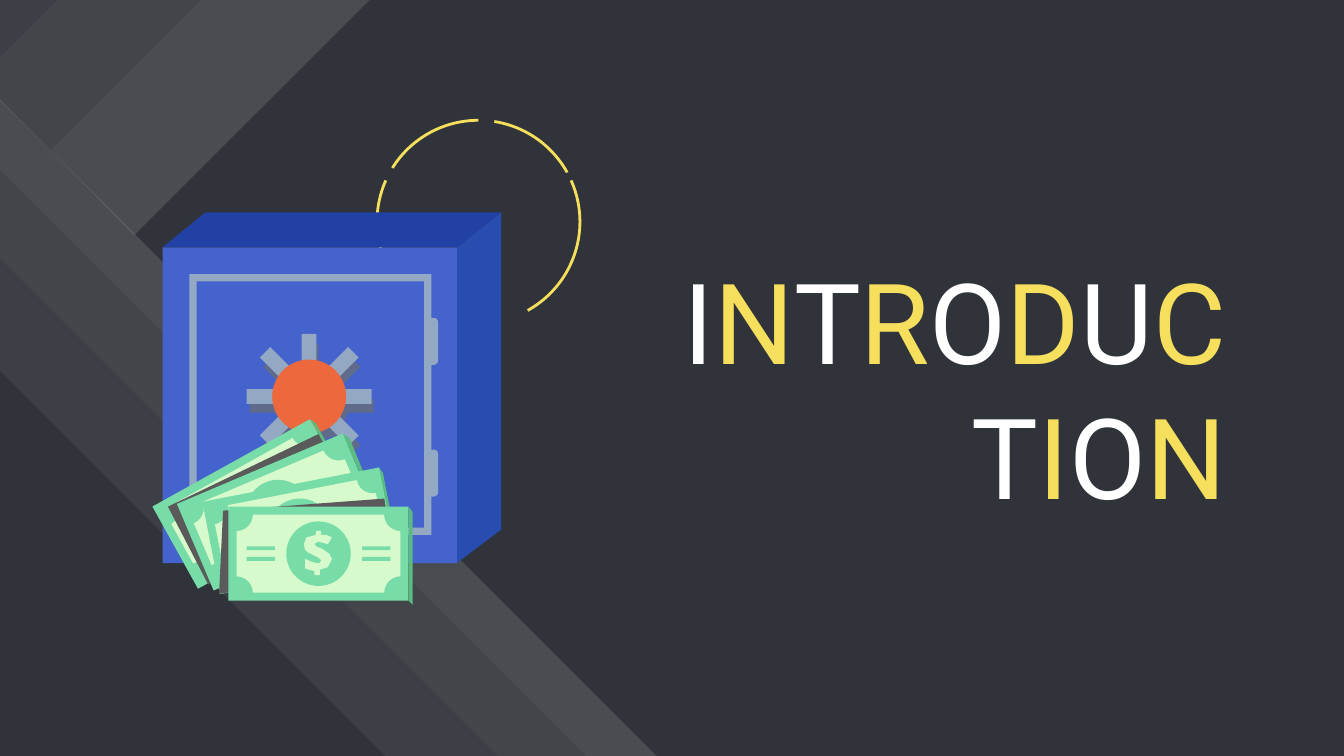
from itertools import cycle, pairwise, product
from math import cos, pi, sin

from lxml import etree
from pptx import Presentation
from pptx import util as u
from pptx.dml import color
from pptx.enum import shapes, text
from pptx.oxml import ns

KIND = shapes.MSO_SHAPE
WHITE, GOLD = "FFFFFF", "F6DF5C"
STEEL, DUSK, ROYAL, ORANGE = "93A8C3", "606B8B", "4563CD", "ED683D"
MINT, PALE, EDGE, SHADE = "78DCA8", "D6FACB", "5ABC80", "5A5A5A"


def tint(code):
    return color.RGBColor.from_string(code)


class Deck:
    """Holds the type style and the current slide."""

    font = {"name": "Roboto", "size": u.Pt(60), "bold": False}
    frame = {"word_wrap": True, "vertical_anchor": text.MSO_ANCHOR.MIDDLE}

    def __init__(self, wide, high, back):
        self.file = Presentation()
        self.file.slide_width, self.file.slide_height = u.Inches(wide), u.Inches(high)
        self.slide = self.file.slides.add_slide(self.file.slide_layouts[6])
        fill = self.slide.background.fill
        fill.solid()
        fill.fore_color.rgb = tint(back)

    def paint(self, shape, code, alpha=None):
        shape.shadow.inherit = False
        shape.line.fill.background()
        shape.fill.solid()
        shape.fill.fore_color.rgb = tint(code)
        if alpha:
            node = shape.fill._xPr.find(".//" + ns.qn("a:srgbClr"))
            etree.SubElement(node, ns.qn("a:alpha"), val=str(alpha * 1000))

    def poly(self, points, code, alpha=None):
        first, *rest = [(u.Inches(x), u.Inches(y)) for x, y in points]
        path = self.slide.shapes.build_freeform(*first)
        path.add_line_segments(rest, close=True)
        self.paint(path.convert_to_shape(), code, alpha)

    def shape(self, kind, mid, size, code, turn=0, bend=None):
        (x, y), (w, h) = mid, size
        item = self.slide.shapes.add_shape(
            kind, u.Inches(x - w / 2), u.Inches(y - h / 2), u.Inches(w), u.Inches(h))
        item.rotation = turn
        if bend is not None:
            item.adjustments[0] = bend
        self.paint(item, code)
        return item

    def arc(self, mid, size, start, end, code):
        item = self.shape(KIND.ARC, mid, (size, size), code)
        item.fill.background()
        item.line.color.rgb = tint(code)
        item.line.width = u.Pt(1.5)
        for spot, angle in enumerate((start, end)):
            item.adjustments[spot] = angle * 0.6

    def title(self, words, box, codes):
        frame = self.slide.shapes.add_textbox(*map(u.Inches, box)).text_frame
        for key, value in self.frame.items():
            setattr(frame, key, value)
        for side in ("left", "top", "right", "bottom"):
            setattr(frame, "margin_" + side, u.Inches(0.1))
        line = frame.paragraphs[0]
        line.alignment = text.PP_ALIGN.RIGHT
        for mark, code in zip(words, cycle(codes)):
            run = line.add_run()
            run.text = mark
            for key, value in self.font.items():
                setattr(run.font, key, value)
            run.font.color.rgb = tint(code)

    def note(self, mid, turn=0, seal=True):
        self.shape(KIND.RECTANGLE, mid, (1.34, 0.7), MINT, turn)
        self.shape(KIND.PLAQUE, mid, (1.22, 0.58), PALE, turn, 0.21)
        if seal:
            self.shape(KIND.OVAL, mid, (0.48, 0.48), MINT)


def gear(mid, half, inner, outer):
    points = []
    for step in range(8):
        c, s = cos(step * pi / 4), sin(step * pi / 4)
        for out, side in ((inner, -half), (outer, -half), (outer, half), (inner, half)):
            points.append((mid[0] + out * c - side * s, mid[1] + out * s + side * c))
    return points


def bands(deck):
    sets = (
        ([(-0.21, 0.53), (-0.47, 0.79), (-0.8, 1.12), (-1.22, 1.54)], 5.16, 5.16),
        ([(1, 1.75), (0.38, 1.12), (-0.16, 0.59), (-0.55, 0.2)], 4.72, -4.72),
    )
    for starts, dx, dy in sets:
        for ((ax, ay), (bx, by)), alpha in zip(pairwise(starts), (12, 9, 6)):
            deck.poly([(ax, ay), (ax + dx, ay + dy), (bx + dx, by + dy), (bx, by)],
                      WHITE, alpha)


def safe(deck):
    left, right, back, top, low = 1.21, 3.4, 3.73, 1.84, 4.19
    deck.poly([(back, 1.58), (right, top), (right, low), (back, 3.94)], "284CAF")
    deck.shape(KIND.RECTANGLE, ((left + right) / 2, (top + low) / 2),
               (right - left, low - top), ROYAL)
    deck.poly([(1.53, 1.58), (left, top), (right, top), (back, 1.58)], "2241A5")
    deck.shape(KIND.FRAME, (2.31, 3.01), (1.8, 1.94), STEEL, bend=0.03)
    for y in (2.54, 3.52):
        deck.shape(KIND.ROUNDED_RECTANGLE, (3.22, y), (0.08, 0.35), STEEL, bend=0.4)
    hub = (2.3, 2.95)
    deck.poly(gear((2.32, 3.02), 0.05, 0.27, 0.46), DUSK)
    for turn in range(0, 180, 45):
        deck.shape(KIND.RECTANGLE, hub, (0.11, 0.93), STEEL, turn)
    deck.shape(KIND.OVAL, hub, (0.55, 0.55), ORANGE)


def cash(deck):
    deck.poly([(2.82, 3.48), (2.95, 4.17), (2.98, 4.19), (2.85, 3.52)], EDGE)
    deck.poly([(2.31, 3.12), (2.65, 3.74), (2.68, 3.75), (2.35, 3.15)], EDGE)
    deck.note((1.89, 3.75), -29, seal=False)
    deck.poly([(2.37, 3.23), (1.25, 3.77), (1.55, 4.35), (2.65, 3.74)], SHADE)
    deck.poly([(2.55, 3.23), (2.83, 3.87), (2.86, 3.89), (2.6, 3.26)], EDGE)
    deck.note((2.07, 3.81), -23)
    deck.note((2.23, 3.95), -11)
    deck.poly([(2.86, 3.71), (1.66, 3.8), (1.63, 4.42), (2.94, 4.2)], SHADE)
    deck.poly([(3.04, 3.77), (3.04, 4.47), (3.07, 4.5), (3.07, 3.81)], EDGE)
    deck.note((2.37, 4.12))
    dollar = [
        (2.35, 3.95), (2.35, 3.98), (2.28, 4), (2.26, 4.05), (2.27, 4.09), (2.29, 4.11),
        (2.33, 4.13), (2.37, 4.15), (2.39, 4.17), (2.38, 4.19), (2.36, 4.19),
        (2.32, 4.18), (2.27, 4.16), (2.27, 4.23), (2.3, 4.24), (2.34, 4.25),
        (2.34, 4.28), (2.38, 4.28), (2.38, 4.24), (2.44, 4.22), (2.47, 4.16),
        (2.45, 4.12), (2.39, 4.08), (2.36, 4.07), (2.34, 4.05), (2.35, 4.04),
        (2.37, 4.03), (2.44, 4.05), (2.47, 4), (2.43, 3.98), (2.39, 3.98), (2.39, 3.95),
    ]
    deck.poly(dollar, PALE)
    for mid in product((2.8, 1.94), (4.08, 4.16)):
        deck.shape(KIND.RECTANGLE, mid, (0.21, 0.03), MINT)


def main():
    deck = Deck(10, 10 * 9 / 16, "30343A")
    bands(deck)
    for start, end in ((80, 204), (336, 61), (279, 331), (212, 270)):
        deck.arc((3.56, 1.65), 1.51, start, end, GOLD)
    safe(deck)
    deck.title("INTRODUCTION", (4.89, 2.42, 4.33, 0.92), (WHITE, GOLD))
    cash(deck)
    deck.file.save("out.pptx")


if __name__ == "__main__":
    main()
